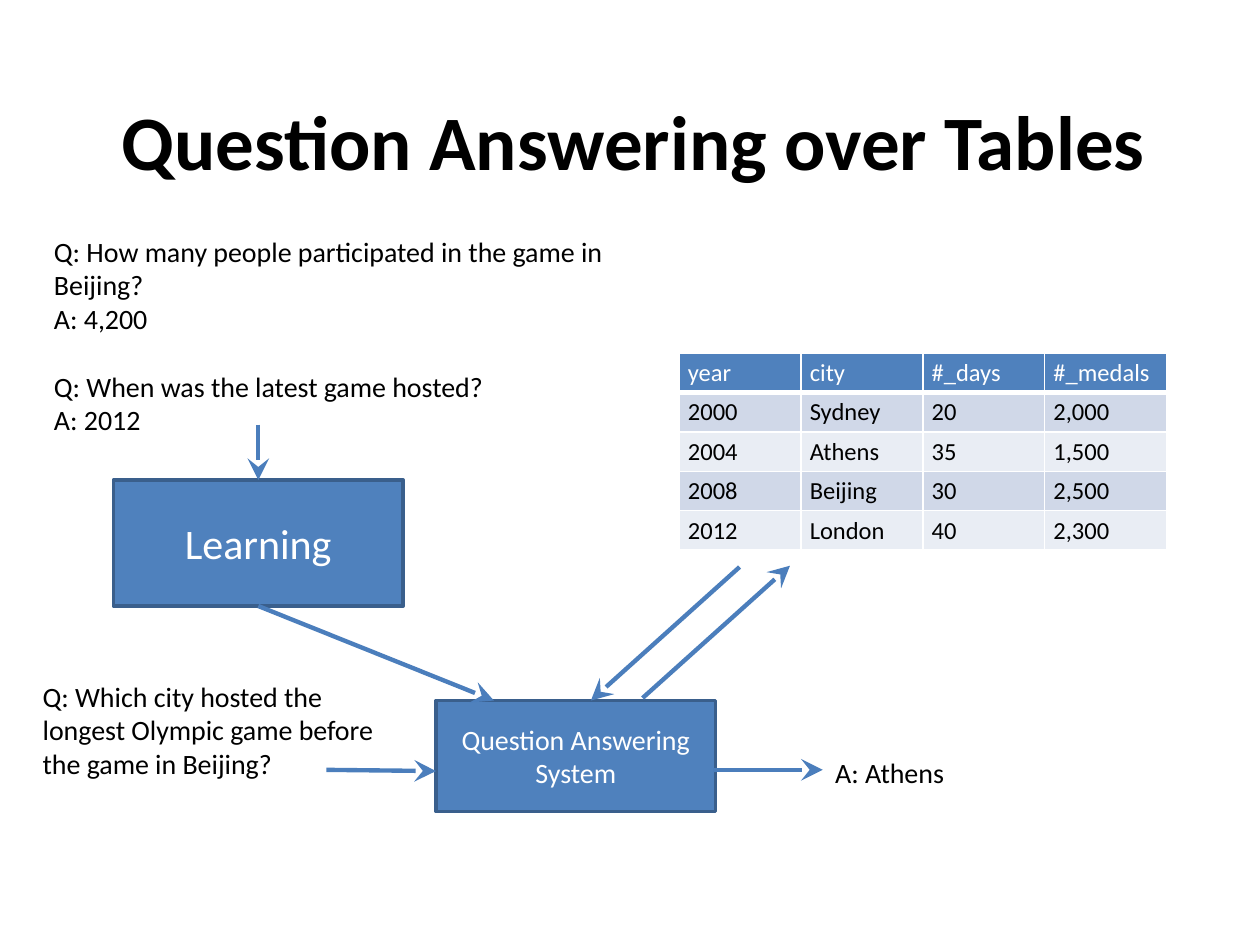
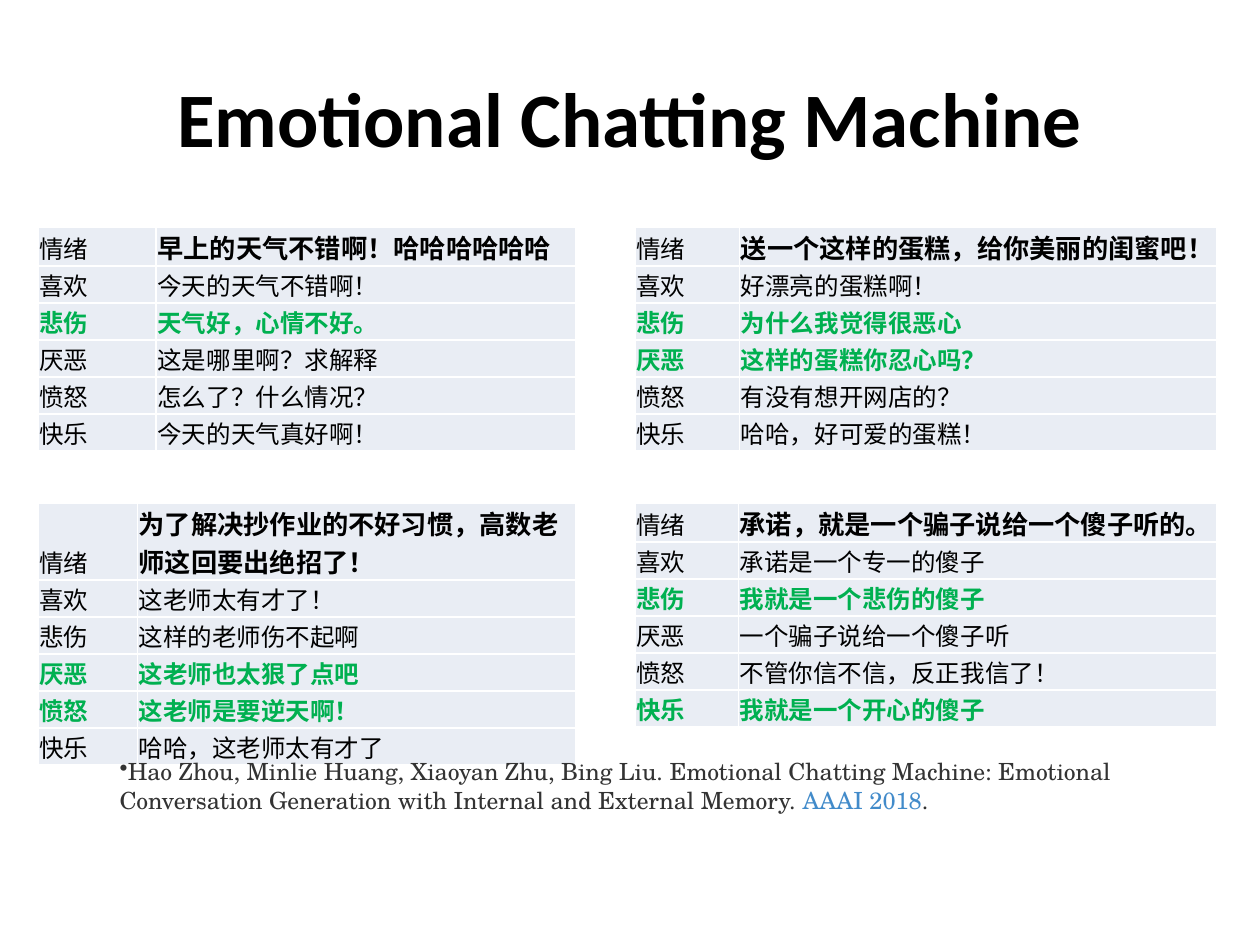
from dataclasses import dataclass
from itertools import product
from lxml.etree import SubElement as Sub
from pptx import Presentation
from pptx.dml.color import RGBColor as Rgb
from pptx.enum.shapes import MSO_CONNECTOR as Link, MSO_SHAPE as Form
from pptx.enum.text import MSO_ANCHOR as Anchor, MSO_AUTO_SIZE as Fit, PP_ALIGN as Align
from pptx.oxml.ns import qn
from pptx.util import Inches, Pt


@dataclass(frozen=True)
class Theme:
    font: str = "Calibri"
    asian: str = "Noto Sans CJK SC"
    serif: str = "TeX Gyre Schola"
    black: str = "000000"
    white: str = "FFFFFF"
    blue: str = "4F81BD"
    edge: str = "3A5F8C"
    arrow: str = "4B7EBC"
    band: str = "D0D8E8"
    pale: str = "E9EDF4"
    green: str = "00B050"
    gray: str = "333333"
    link: str = "428BCA"
    title: float = 44
    large: float = 24
    body: float = 16
    lead: float = 15
    cell: float = 14
    note: float = 13.5


T = Theme()
COLS, ROWS = 100, 75


def put(frame, text, size=T.body, color=T.black, font=T.font, bold=False,
        align=Align.LEFT, anchor=Anchor.TOP, gaps=None, bullet=None):
    frame.word_wrap = True
    frame.vertical_anchor = anchor
    lines = [text] if isinstance(text, str) else text
    for i, line in enumerate(lines):
        para = frame.paragraphs[0] if i == 0 else frame.add_paragraph()
        para.alignment = align
        if gaps and i in gaps:
            para.space_before = Pt(gaps[i])
        if bullet:
            props = para._p.get_or_add_pPr()
            props.set("marL", "0")
            props.set("indent", "0")
            Sub(props, qn("a:buChar")).set("char", bullet)
        for word, tone in [(line, color)] if isinstance(line, str) else line:
            run = para.add_run()
            run.text = word
            run.font.name = font
            run.font.size = Pt(size)
            run.font.bold = bold
            run.font.color.rgb = Rgb.from_string(tone)
            Sub(run._r.get_or_add_rPr(), qn("a:ea")).set("typeface", T.asian)


def edge(cell, base):
    props = cell._tc.get_or_add_tcPr()
    for side in "LRTB":
        line = Sub(props, qn(f"a:ln{side}"))
        line.set("w", str(Pt(base if side == "B" else 1)))
        fill = Sub(line, qn("a:solidFill"))
        Sub(fill, qn("a:srgbClr")).set("val", T.white)


class Deck:
    def __init__(self, wide=10, high=7.5):
        self.file = Presentation()
        self.file.slide_width = Inches(wide)
        self.file.slide_height = Inches(high)
        self.page = None

    def x(self, cols):
        return round(self.file.slide_width * cols / COLS)

    def y(self, rows):
        return round(self.file.slide_height * rows / ROWS)

    def area(self, left, top, wide, high):
        return self.x(left), self.y(top), self.x(wide), self.y(high)

    def start(self, text, area):
        self.page = self.file.slides.add_slide(self.file.slide_layouts[5])
        head = self.page.shapes.title
        head.left, head.top, head.width, head.height = self.area(*area)
        put(head.text_frame, text, size=T.title, bold=True,
            align=Align.CENTER, anchor=Anchor.MIDDLE)

    def text(self, text, area, **look):
        frame = self.page.shapes.add_textbox(*self.area(*area)).text_frame
        put(frame, text, **look)
        frame.auto_size = Fit.SHAPE_TO_FIT_TEXT

    def box(self, text, area, size):
        shape = self.page.shapes.add_shape(Form.RECTANGLE, *self.area(*area))
        shape.shadow.inherit = False
        shape.fill.solid()
        shape.fill.fore_color.rgb = Rgb.from_string(T.blue)
        shape.line.color.rgb = Rgb.from_string(T.edge)
        shape.line.width = Pt(2)
        put(shape.text_frame, text, size=size, color=T.white,
            align=Align.CENTER, anchor=Anchor.MIDDLE)

    def arrow(self, tail, tip):
        item = self.page.shapes.add_connector(
            Link.STRAIGHT, self.x(tail[0]), self.y(tail[1]), self.x(tip[0]), self.y(tip[1]))
        item.line.color.rgb = Rgb.from_string(T.arrow)
        item.line.width = Pt(2.5)
        head = Sub(item.line._get_or_add_ln(), qn("a:tailEnd"))
        for key, kind in (("type", "stealth"), ("w", "lg"), ("len", "lg")):
            head.set(key, kind)
        Sub(item._element.spPr, qn("a:effectLst"))

    def table(self, data, spot, cols, rows, style, pad, anchor=Anchor.TOP, base=1):
        frame = self.page.shapes.add_table(
            len(rows), len(cols), *self.area(*spot, sum(cols), sum(rows)))
        grid = frame.table
        grid.first_row = grid.horz_banding = False
        for col, wide in zip(grid.columns, cols):
            col.width = self.x(wide)
        for row, high in zip(grid.rows, rows):
            row.height = self.y(high)
        for r, c in product(range(len(rows)), range(len(cols))):
            cell = grid.cell(r, c)
            fill, look = style(r, c)
            edge(cell, base if r == 0 else 1)
            cell.fill.solid()
            cell.fill.fore_color.rgb = Rgb.from_string(fill)
            cell.margin_left, cell.margin_top, cell.margin_right, cell.margin_bottom = map(Inches, pad)
            put(cell.text_frame, data[r][c], anchor=anchor, **look)
            cell.vertical_anchor = anchor

    def chat(self, spot, cols, lead, lines, marks, high=2.6):
        data = [("情绪", lead), *zip(MOODS, lines)]

        def style(r, c):
            if r == 0 and c == 1:
                return T.pale, dict(size=T.lead, font=T.asian, bold=True)
            mark = data[r][0] in marks
            return T.pale, dict(size=T.cell, bold=mark, color=T.green if mark else T.black)

        self.table(data, spot, cols, [high] + [2.3] * len(MOODS), style,
                   (0.01, 0.01, 0.01, 0), anchor=Anchor.BOTTOM)


MOODS = ("喜欢", "悲伤", "厌恶", "愤怒", "快乐")
GAMES = [
    ("year", "city", "#_days", "#_medals"),
    ("2000", "Sydney", "20", "2,000"),
    ("2004", "Athens", "35", "1,500"),
    ("2008", "Beijing", "30", "2,500"),
    ("2012", "London", "40", "2,300"),
]


def games(r, c):
    fill = T.blue if r == 0 else T.band if r % 2 else T.pale
    return fill, dict(size=T.cell, color=T.black if r else T.white)


def answers(deck):
    deck.start("Question Answering over Tables", (8, 6.4, 84.6, 9.4))
    deck.text(["Q: How many people participated in the game in Beijing?", "A: 4,200",
               "Q: When was the latest game hosted?", "A: 2012"],
              (3.3, 18.1, 53.1, 14.5), gaps={2: 19.5})
    deck.box("Question Answering System", (34.6, 55.6, 22.2, 8.8), T.body)
    deck.text("Q: Which city hosted the longest Olympic game before the game in Beijing?",
              (2.4, 53.4, 29.3, 9.1))
    deck.text("A: Athens", (65.3, 59.5, 13.8, 3.7))
    deck.box("Learning", (9, 38.1, 23, 10), T.large)
    for tail, tip in (
        ((25.9, 61.1), (34.6, 61.2)),
        ((56.6, 61.1), (65.3, 61.1)),
        ((51, 55.4), (62.7, 44.9)),
        ((58.7, 45), (46.9, 55.6)),
        ((20.5, 33.7), (20.5, 38.1)),
        ((20.5, 48.1), (39.2, 55.6)),
    ):
        deck.arrow(tail, tip)
    deck.table(GAMES, (53.9, 28), [9.67] * 4, [3.08] * 5, games,
               (0.07, 0.04, 0.07, 0.04), base=3)


def moods(deck):
    deck.start("Emotional Chatting Machine", (5, 3, 90, 12.5))
    left, right, top, low = 3, 50.4, 18, 39.9
    deck.chat((left, top), (9.4, 33.3), "早上的天气不错啊！哈哈哈哈哈哈",
              ("今天的天气不错啊！", "天气好，心情不好。", "这是哪里啊？求解释",
               "怎么了？什么情况？", "今天的天气真好啊！"), {"悲伤"})
    deck.chat((right, top), (8.3, 37.9), "送一个这样的蛋糕，给你美丽的闺蜜吧！",
              ("好漂亮的蛋糕啊！", "为什么我觉得很恶心", "这样的蛋糕你忍心吗？",
               "有没有想开网店的？", "哈哈，好可爱的蛋糕！"), {"悲伤", "厌恶"})
    deck.chat((left, low), (7.9, 34.8), "为了解决抄作业的不好习惯，高数老师这回要出绝招了！",
              ("这老师太有才了！", "这样的老师伤不起啊", "这老师也太狠了点吧",
               "这老师是要逆天啊！", "哈哈，这老师太有才了"), {"厌恶", "愤怒"}, high=5.1)
    deck.chat((right, low), (8.2, 38), "承诺，就是一个骗子说给一个傻子听的。",
              ("承诺是一个专一的傻子", "我就是一个悲伤的傻子", "一个骗子说给一个傻子听",
               "不管你信不信，反正我信了！", "我就是一个开心的傻子"), {"悲伤", "快乐"})
    cite = [("Hao Zhou, Minlie Huang, Xiaoyan Zhu, Bing Liu. Emotional Chatting Machine: "
             "Emotional Conversation Generation with Internal and External Memory. ", T.gray),
            ("AAAI 2018", T.link), (".", T.gray)]
    deck.text([cite], (8.5, 59.6, 87.1, 5.6), size=T.note, font=T.serif, bullet="•")


def main():
    deck = Deck()
    answers(deck)
    moods(deck)
    deck.file.save("out.pptx")


if __name__ == "__main__":
    main()
